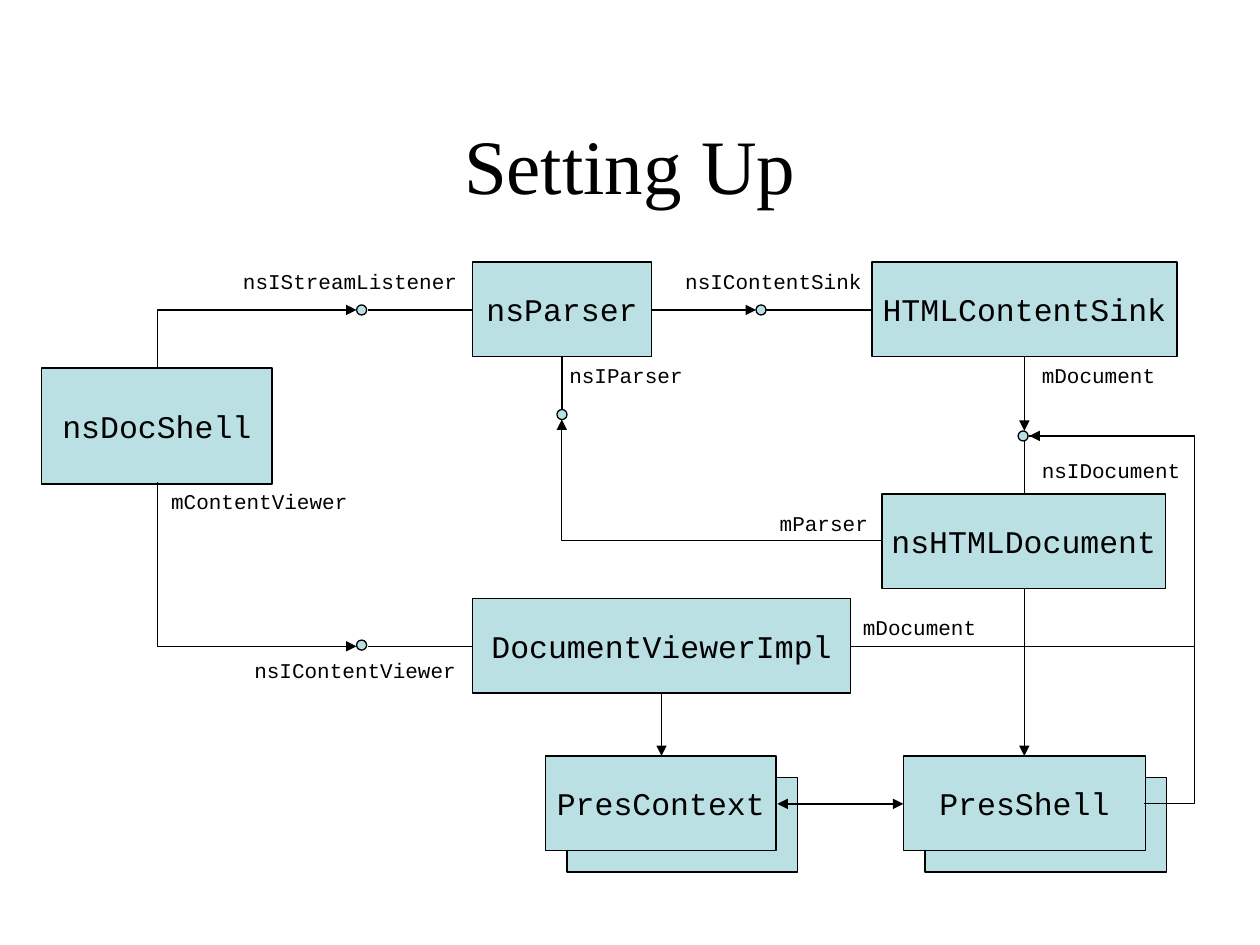
from dataclasses import dataclass

from lxml.etree import SubElement
from pptx import Presentation
from pptx.dml.color import RGBColor
from pptx.enum.shapes import MSO_CONNECTOR as LINK, MSO_SHAPE as SHAPE
from pptx.enum.text import MSO_ANCHOR as ANCHOR, MSO_AUTO_SIZE as FIT, PP_ALIGN as ALIGN
from pptx.oxml.ns import qn
from pptx.util import Inches, Pt


@dataclass(frozen=True)
class Theme:
    ink: RGBColor = RGBColor(0, 0, 0)
    fill: RGBColor = RGBColor(0xBB, 0xE0, 0xE3)
    title_font: str = "Times New Roman"
    code_font: str = "Courier New"
    title_size: int = 44
    class_size: int = 18
    label_size: int = 12
    line_width: float = 0.75


def write(frame, text, *, font, size, color, align=ALIGN.LEFT, anchor=ANCHOR.TOP, wrap=False):
    """Put one formatted paragraph into a text frame."""
    frame.word_wrap = wrap
    frame.vertical_anchor = anchor
    paragraph = frame.paragraphs[0]
    paragraph.alignment = align
    run = paragraph.add_run()
    run.text = text
    run.font.name, run.font.size = font, Pt(size)
    run.font.color.rgb = color


class Diagram:
    STACK_OFFSET = 0.17
    PORT_SIZE = 0.08

    def __init__(self, slide, theme):
        self.shapes = slide.shapes
        self.theme = theme

    def title(self, text, *place):
        box = self.shapes.add_textbox(*map(Inches, place))
        write(box.text_frame, text, font=self.theme.title_font, size=self.theme.title_size,
              color=self.theme.ink, align=ALIGN.CENTER, anchor=ANCHOR.MIDDLE, wrap=True)

    def _outlined(self, kind, *place):
        shape = self.shapes.add_shape(kind, *map(Inches, place))
        shape.shadow.inherit = False
        shape.fill.solid()
        shape.fill.fore_color.rgb = self.theme.fill
        self._stroke(shape.line)
        return shape

    def _stroke(self, line):
        line.color.rgb = self.theme.ink
        line.width = Pt(self.theme.line_width)

    def class_box(self, text, left, top, width, height=0.75, stacked=False):
        if stacked:
            self._outlined(SHAPE.FLOWCHART_PROCESS, left + self.STACK_OFFSET,
                           top + self.STACK_OFFSET, width, height)
        box = self._outlined(SHAPE.FLOWCHART_PROCESS, left, top, width, height)
        write(box.text_frame, text, font=self.theme.code_font, size=self.theme.class_size,
              color=self.theme.ink, align=ALIGN.CENTER, anchor=ANCHOR.MIDDLE)

    def port(self, left, top):
        self._outlined(SHAPE.FLOWCHART_CONNECTOR, left, top, self.PORT_SIZE, self.PORT_SIZE)

    def label(self, text, left, top):
        # 12 pt fixed-pitch letters are 0.1 inch wide, plus the two insets
        width = 0.1 * len(text) + 0.2
        box = self.shapes.add_textbox(*map(Inches, (left, top, width, 0.3)))
        write(box.text_frame, text, font=self.theme.code_font, size=self.theme.label_size,
              color=self.theme.ink)
        box.text_frame.auto_size = FIT.SHAPE_TO_FIT_TEXT

    def link(self, start, end, head=False, tail=False, kind=LINK.STRAIGHT):
        link = self.shapes.add_connector(kind, *map(Inches, (*start, *end)))
        self._stroke(link.line)
        properties = link._element.spPr
        line = properties.find(qn("a:ln"))
        for tag, wanted in (("a:headEnd", head), ("a:tailEnd", tail)):
            if wanted:
                SubElement(line, qn(tag), type="triangle")
        SubElement(properties, qn("a:effectLst"))
        return properties.find(qn("a:prstGeom"))

    def corner(self, start, end, **arrows):
        """One bend: across from start, then up or down to end."""
        self.link(start, end, kind=LINK.ELBOW, **arrows).set("prst", "bentConnector2")

    def detour(self, start, end, rail, **arrows):
        """Two bends: out to the vertical rail and back."""
        geometry = self.link(start, end, kind=LINK.ELBOW, **arrows)
        share = round((rail - start[0]) / (end[0] - start[0]) * 100000)
        SubElement(geometry.find(qn("a:avLst")), qn("a:gd"), name="adj1", fmla=f"val {share}")


def main():
    deck = Presentation()
    deck.slide_width, deck.slide_height = Inches(10), Inches(7.5)
    diagram = Diagram(deck.slides.add_slide(deck.slide_layouts[6]), Theme())

    diagram.title("Setting Up", 0.75, 0.67, 8.5, 1.25)

    # Classes
    diagram.class_box("nsDocShell", 0.33, 2.92, 1.83, height=0.92)
    diagram.class_box("nsParser", 3.75, 2.08, 1.42)
    diagram.class_box("HTMLContentSink", 6.92, 2.08, 2.42)
    diagram.class_box("nsHTMLDocument", 7, 3.92, 2.25)
    diagram.class_box("DocumentViewerImpl", 3.75, 4.75, 3)
    diagram.class_box("PresContext", 4.33, 6, 1.83, stacked=True)
    diagram.class_box("PresShell", 7.17, 6, 1.92, stacked=True)

    # Interface ports, each with its stem to the class
    for port, stem_start, stem_end in (
        ((2.83, 2.42), (2.92, 2.46), (3.75, 2.46)),
        ((2.83, 5.08), (2.92, 5.13), (3.75, 5.13)),
        ((6, 2.42), (6.08, 2.46), (6.92, 2.46)),
        ((4.42, 3.25), (4.46, 3.25), (4.46, 2.83)),
        ((8.08, 3.42), (8.13, 3.5), (8.13, 3.92)),
    ):
        diagram.port(*port)
        diagram.link(stem_start, stem_end)

    # Straight references
    for start, end in (
        ((5.17, 2.46), (6, 2.46)),
        ((8.13, 2.83), (8.13, 3.42)),
        ((8.13, 4.67), (8.13, 6)),
        ((5.25, 5.5), (5.25, 6)),
    ):
        diagram.link(start, end, tail=True)
    diagram.link((6.17, 6.38), (7.17, 6.38), head=True, tail=True)

    # Bent references
    diagram.corner((2.83, 2.46), (1.25, 2.92), head=True)
    diagram.corner((2.83, 5.13), (1.25, 3.83), head=True)
    diagram.corner((7, 4.29), (4.46, 3.33), tail=True)
    document_port, rail = (8.17, 3.46), 9.48
    diagram.detour((6.75, 5.13), document_port, rail, tail=True)
    diagram.detour((9.08, 6.38), document_port, rail)

    # Interface and member names
    for name, left, top in (
        ("nsIStreamListener", 1.83, 2.08),
        ("nsIContentSink", 5.34, 2.08),
        ("nsIParser", 4.42, 2.83),
        ("mDocument", 8.17, 2.83),
        ("nsIDocument", 8.17, 3.58),
        ("mContentViewer", 1.26, 3.83),
        ("mParser", 6.09, 4),
        ("mDocument", 6.75, 4.83),
        ("nsIContentViewer", 1.92, 5.17),
    ):
        diagram.label(name, left, top)

    deck.save("out.pptx")


if __name__ == "__main__":
    main()
